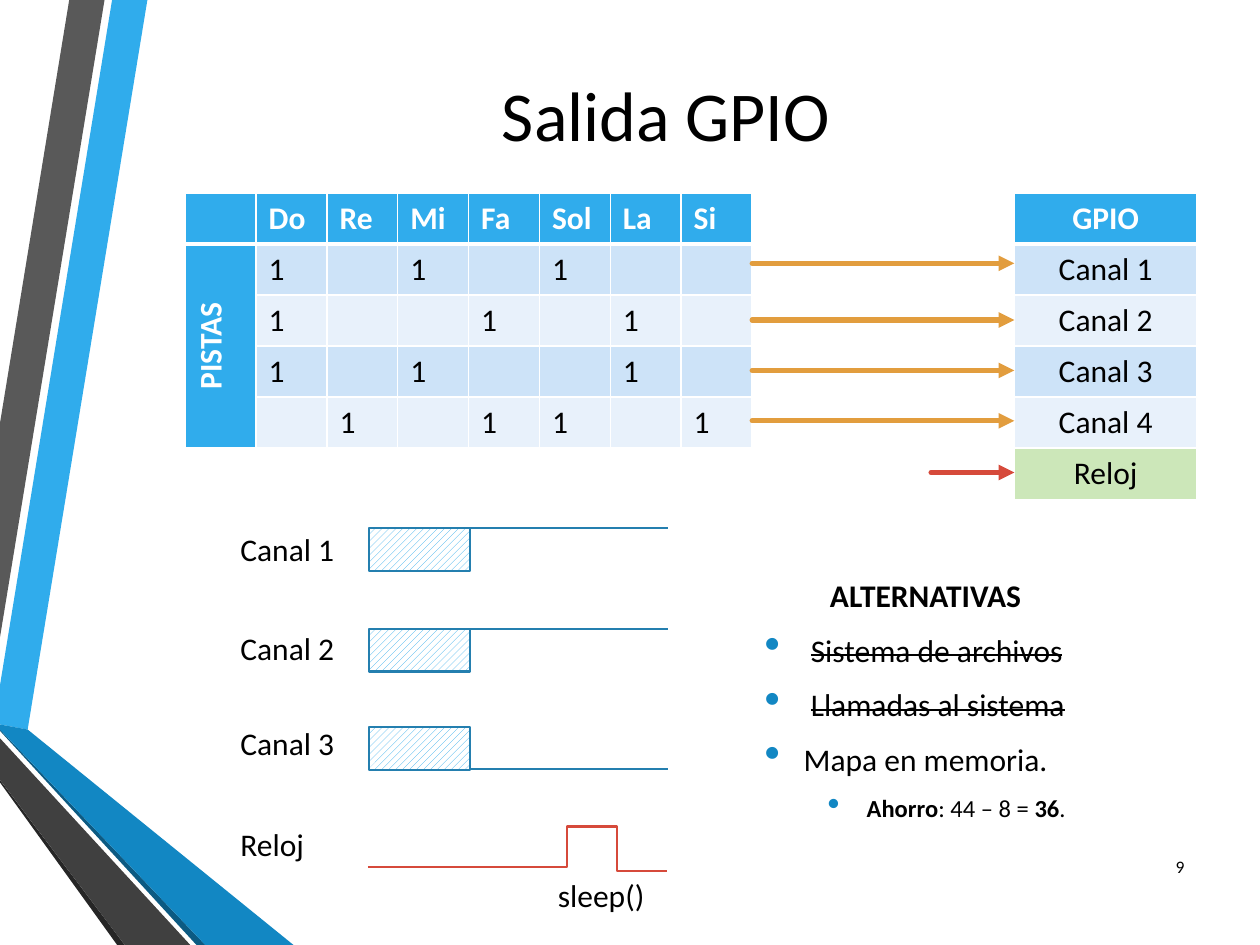
from lxml.etree import SubElement
from pptx import Presentation
from pptx.dml.color import RGBColor
from pptx.enum.dml import MSO_PATTERN
from pptx.enum.shapes import MSO_CONNECTOR, MSO_SHAPE
from pptx.enum.text import MSO_ANCHOR as Anchor, MSO_AUTO_SIZE as Fit, PP_ALIGN as Align
from pptx.oxml.ns import qn
from pptx.util import Inches, Pt

COLORS = {
    "text": "000000", "white": "FFFFFF", "sky": "30ACEC", "blue": "1287C3",
    "navy": "0C5A82", "grey": "595959", "dark": "404040", "black": "262626",
    "band": "CDE3F8", "pale": "E8F1FB", "green": "CCE7B9",
    "signal": "247FAF", "arrow": "E29D3E", "clock": "D64A3B",
}
COLS, ROWS = 100, 75          # slide grid: one unit is a tenth of an inch
ROW = 4.05                    # height of a table row


def color(name):
    return RGBColor.from_string(COLORS[name])


def unit(value):
    return Inches(value / 10)


class Page:
    font = "Calibri"
    size = 18

    def __init__(self, deck):
        self.slide = deck.slides.add_slide(deck.slide_layouts[6])
        self.shapes = self.slide.shapes

    def style(self, font, size=None, name="text", bold=False):
        font.name, font.size, font.bold = self.font, Pt(size or self.size), bold
        font.color.rgb = color(name)

    def text(self, place, words="", size=None, align=Align.LEFT, anchor=Anchor.TOP, wrap=True):
        box = self.shapes.add_textbox(*map(unit, place))
        frame = box.text_frame
        frame.word_wrap, frame.vertical_anchor = wrap, anchor
        frame.auto_size = Fit.NONE if wrap else Fit.SHAPE_TO_FIT_TEXT
        para = frame.paragraphs[0]
        para.text, para.alignment = words, align
        self.style(para.font, size)
        return frame

    def item(self, para, spans, size=None, indent=None, level=0):
        """Fill a paragraph with (words, mark) spans; an indent gives it a bullet."""
        size = size or self.size
        self.style(para.font, size)
        para.level = level
        para.space_before, para.space_after = Pt(size * 0.2), Pt(6)
        for words, mark in spans:
            span = para.add_run()
            span.text = words
            if mark == "bold":
                span.font.bold = True
            elif mark == "strike":
                span._r.get_or_add_rPr().set("strike", "sngStrike")
        if indent is None:
            para.alignment = Align.CENTER
            return
        props = para._p.get_or_add_pPr()
        props.set("marL", str(unit(indent)))
        props.set("indent", str(-unit(3.1)))
        props.remove(props.find(qn("a:defRPr")))
        tint = SubElement(props, qn("a:buClr"))
        SubElement(tint, qn("a:srgbClr"), val=COLORS["blue"])
        SubElement(props, qn("a:buSzPct"), val="145000")
        SubElement(props, qn("a:buChar"), char="•")
        for span in para.runs:
            self.style(span.font, size, bold=span.font.bold or False)

    def outline(self, points, fill=None, line=None):
        first, *rest = [(unit(x), unit(y)) for x, y in points]
        builder = self.shapes.build_freeform(*first)
        builder.add_line_segments(rest, close=fill is not None)
        shape = builder.convert_to_shape()
        shape.shadow.inherit = False
        if fill:
            shape.fill.solid()
            shape.fill.fore_color.rgb = color(fill)
            shape.line.fill.background()
        else:
            shape.fill.background()
            shape.line.color.rgb, shape.line.width = color(line), Pt(1.25)

    def hatched(self, place):
        box = self.shapes.add_shape(MSO_SHAPE.RECTANGLE, *map(unit, place))
        box.shadow.inherit = False
        box.fill.patterned()
        box.fill.pattern = MSO_PATTERN.WIDE_UPWARD_DIAGONAL
        box.fill.fore_color.rgb, box.fill.back_color.rgb = color("sky"), color("white")
        box.line.color.rgb, box.line.width = color("signal"), Pt(1.25)

    def line(self, left, right, y, name, width, arrow=False):
        link = self.shapes.add_connector(
            MSO_CONNECTOR.STRAIGHT, unit(left), unit(y), unit(right), unit(y))
        link.line.color.rgb, link.line.width = color(name), Pt(width)
        SubElement(link._element.spPr, qn("a:effectLst"))
        if arrow:
            stroke = link.line._get_or_add_ln()
            stroke.set("cap", "rnd")
            SubElement(stroke, qn("a:tailEnd"), type="triangle")

    def cell(self, cell, words, row, fill, align=Align.LEFT, head=False):
        props = cell._tc.get_or_add_tcPr()
        for side in "LRTB":
            thick = (row, side) in ((0, "B"), (1, "T"))
            edge = SubElement(props, qn("a:ln" + side), w=str(Pt(3 if thick else 1)))
            SubElement(SubElement(edge, qn("a:solidFill")), qn("a:srgbClr"), val=COLORS["white"])
        cell.fill.solid()
        cell.fill.fore_color.rgb = color(fill)
        para = cell.text_frame.paragraphs[0]
        para.text, para.alignment = words, align
        self.style(para.font, name="white" if head else "text", bold=head)

    def table(self, left, top, width, rows, align=Align.LEFT, side=False, last=None):
        count = len(rows)
        table = self.shapes.add_table(
            count, len(rows[0]), unit(left), unit(top), unit(width), unit(ROW * count)).table
        for r, row in enumerate(rows):
            for c, words in enumerate(row):
                head = r == 0 or (side and c == 0)
                fill = "sky" if head else "band" if r % 2 else "pale"
                if last and r == count - 1:
                    fill = last
                self.cell(table.cell(r, c), words, r, fill, align, head)
        if side:
            label = table.cell(1, 0)
            label.merge(table.cell(count - 1, 0))
            label.vertical_anchor = Anchor.MIDDLE
            label.text_frame.paragraphs[0].alignment = Align.CENTER
            label._tc.tcPr.set("vert", "vert270")


def main():
    deck = Presentation()
    deck.slide_width, deck.slide_height = unit(COLS), unit(ROWS)
    page = Page(deck)

    # Ribbons on the left edge
    for fill, points in (
        ("sky", [(0, 54.4), (0, 57.5), (2.2, 57.9), (11.7, 0), (8.9, 0)]),
        ("grey", [(8.3, 0), (5.5, 0), (0, 33.6), (0, 50.6)]),
        ("black", [(0, 61.9), (0, 62.1), (9.3, 75), (9.9, 75)]),
        ("navy", [(0, 57.9), (0, 58), (15.6, 75), (16.3, 75)]),
        ("blue", [(0, 57.9), (16.3, 75), (23.3, 75), (2.2, 57.9), (0, 57.5)]),
        ("dark", [(0, 61.9), (9.9, 75), (15.1, 75), (0, 58.6)]),
    ):
        page.outline(points, fill=fill)

    # Title and page number
    page.text((10.7, 5, 84.3, 8), "Salida GPIO", 40, Align.CENTER, Anchor.MIDDLE)
    page.text((90.3, 66.8, 4.7, 4), "9", 10, Align.RIGHT, Anchor.MIDDLE)

    # Tracks by note, and the output channels
    notes = ["Do", "Re", "Mi", "Fa", "Sol", "La", "Si"]
    tracks = [("Do", "Mi", "Sol"), ("Do", "Fa", "La"), ("Do", "Mi", "La"), ("Re", "Fa", "Sol", "Si")]
    grid = [[""] + notes]
    for number, track in enumerate(tracks):
        grid.append(["" if number else "PISTAS"] + ["1" if note in track else "" for note in notes])
    page.table(14.7, 15.3, 45, grid, side=True)
    channels = ["Canal 1", "Canal 2", "Canal 3", "Canal 4", "Reloj"]
    page.table(80.5, 15.3, 14.5, [[name] for name in ["GPIO"] + channels],
               Align.CENTER, last="green")

    # Arrows from tracks to channels
    for y in (20.9, 25.4, 29.4, 33.4):
        page.line(59.7, 80.5, y, "arrow", 3, arrow=True)
    page.line(73.9, 80.5, 37.5, "clock", 3, arrow=True)

    # Timing diagram: label top, box top, signal level
    for name, label, top, level in (
        ("Canal 1", 41.6, 41.9, 41.9),
        ("Canal 2", 49.4, 49.9, 49.9),
        ("Canal 3", 57, 57.7, 61),
    ):
        page.text((18.1, label, 9.6, 4), name, wrap=False)
        page.line(37.3, 53, level, "signal", 1.25)
        page.hatched((29.3, top, 8, 3.4))
    page.text((18.1, 65, 7.3, 4), "Reloj", wrap=False)
    page.outline([(29.2, 68.8), (45, 68.8), (45, 65.6), (49, 65.6), (49, 69.1), (52.9, 69.1)],
                 line="clock")
    page.text((43.3, 69, 9, 4), "sleep()", wrap=False)

    # Alternatives
    frame = page.text((59.7, 42, 27.5, 27), anchor=Anchor.MIDDLE)
    page.item(frame.paragraphs[0], [("ALTERNATIVAS", "bold")])
    for spans in (
        [(" ", None), ("Sistema de archivos", "strike")],
        [(" ", None), ("Llamadas al sistema", "strike")],
        [("Mapa en memoria.", None)],
    ):
        page.item(frame.add_paragraph(), spans, indent=3.1)
    saving = [("Ahorro", "bold"), (": 44 – 8 = ", None), ("36", "bold"), (".", None)]
    page.item(frame.add_paragraph(), saving, size=14, indent=8.1, level=1)

    deck.save("out.pptx")


if __name__ == "__main__":
    main()
